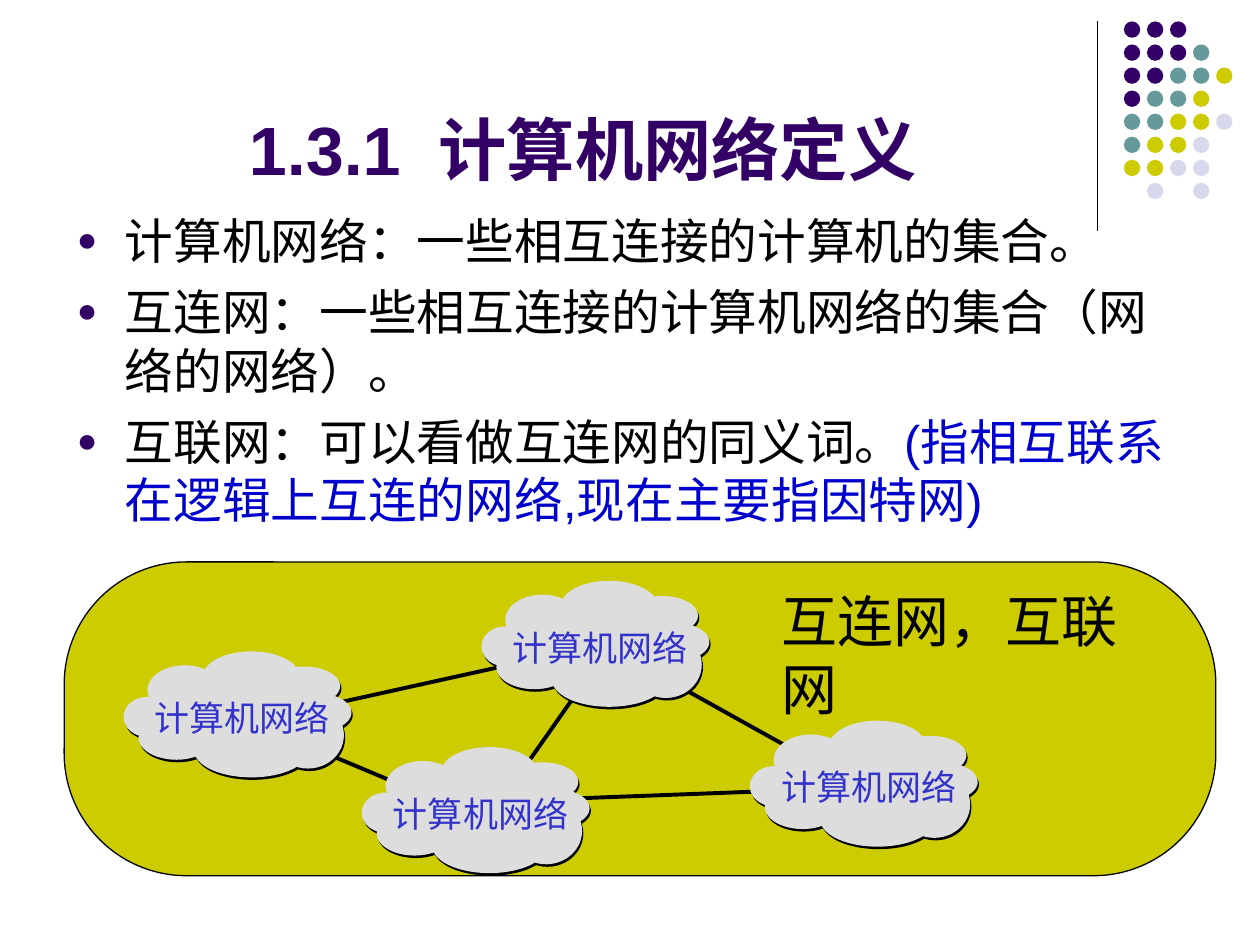
from lxml.etree import SubElement
from pptx import Presentation
from pptx.dml.color import RGBColor
from pptx.enum.shapes import MSO_CONNECTOR, MSO_SHAPE
from pptx.enum.text import MSO_ANCHOR, MSO_AUTO_SIZE, PP_ALIGN
from pptx.oxml.ns import qn
from pptx.util import Inches, Pt

COLORS = {
    "purple": "330066", "teal": "669999", "olive": "CCCC00", "lavender": "D8D8EC",
    "black": "000000", "blue": "0000CC", "cloud": "DDDDDD", "label": "3333CC",
}
TITLE = "1.3.1  计算机网络定义"
DEFINITIONS = [
    [("计算机网络：一些相互连接的计算机的集合。", "black")],
    [("互连网：一些相互连接的计算机网络的集合（网络的网络）。", "black")],
    [("互联网：可以看做互连网的同义词。", "black"),
     ("(指相互联系在逻辑上互连的网络,现在主要指因特网)", "blue")],
]
PANEL_LABEL = "互连网，互联网"
CLOUD_LABEL = "计算机网络"

# One letter per dot, a dot mark for an empty place
DOT_ROWS = ["PPP..", "PPPT.", "PPTTO", "PTTO.", "TTOOL", "TOOL.", "OOLL.", ".L.L."]
DOT_COLORS = {"P": "purple", "T": "teal", "O": "olive", "L": "lavender"}
DOT_LEFT, DOT_TOP, DOT_PITCH, DOT_SIZE = 8.92, 0.17, 0.183, 0.13

CLOUDS = [(0.98, 5.17), (2.87, 5.93), (3.82, 4.61), (5.95, 5.72)]
# Left, top, width and height of each puff, from the corner of its cloud
PUFFS = [
    (0.63, 0, 0.77, 0.4), (0.19, 0.11, 0.59, 0.4), (0, 0.36, 0.39, 0.32),
    (0.12, 0.51, 0.6, 0.35), (0.56, 0.57, 0.91, 0.43), (1.15, 0.12, 0.57, 0.31),
    (1.24, 0.33, 0.57, 0.31), (1.18, 0.4, 0.57, 0.53), (0.33, 0.24, 1.17, 0.53),
]
CLOUD_LAYERS = [("black", 0.01, 0.02), ("cloud", 0, 0)]
LINKS = [
    ((2.4, 5.64), (4.21, 5.24)), ((2.16, 5.8), (3.66, 6.43)),
    ((4.21, 6.35), (6.34, 6.27)), ((5.16, 5.32), (6.58, 6.11)),
    ((4.76, 5.24), (3.98, 6.35)),
]


def color(name):
    return RGBColor.from_string(COLORS[name])


def place(shape, left, top, width, height):
    box = {"left": left, "top": top, "width": width, "height": height}
    for name, value in box.items():
        setattr(shape, name, Inches(value))


def add_run(paragraph, text, size, font, color_name, bold=False):
    run = paragraph.add_run()
    run.text = text
    for name, value in {"size": Pt(size), "name": font, "bold": bold}.items():
        setattr(run.font, name, value)
    run.font.color.rgb = color(color_name)


def add_filled(shapes, kind, box, fill):
    shape = shapes.add_shape(kind, *map(Inches, box))
    shape.shadow.inherit = False
    shape.fill.solid()
    shape.fill.fore_color.rgb = color(fill)
    shape.line.fill.background()
    return shape


def add_line(shapes, start, end, width):
    line = shapes.add_connector(MSO_CONNECTOR.STRAIGHT, *map(Inches, start + end))
    line.line.color.rgb = color("black")
    line.line.width = Pt(width)
    SubElement(line._element.spPr, qn("a:effectLst"))


def add_label(shapes, box, text, size, color_name):
    label = shapes.add_textbox(*map(Inches, box))
    label.text_frame.word_wrap = False
    add_run(label.text_frame.paragraphs[0], text, size, "Times New Roman", color_name)


def add_bullet(paragraph):
    properties = paragraph._p.get_or_add_pPr()
    properties.set("marL", str(Inches(0.38)))
    properties.set("indent", str(-Inches(0.38)))
    bullet_color = SubElement(properties, qn("a:buClr"))
    SubElement(bullet_color, qn("a:srgbClr"), val=COLORS["purple"])
    SubElement(properties, qn("a:buSzPct"), val="70000")
    SubElement(properties, qn("a:buFont"), typeface="Arial")
    SubElement(properties, qn("a:buChar"), char="●")


def add_title(slide):
    title = slide.shapes.title
    place(title, 0.5, 0.13, 8.25, 1.42)
    frame = title.text_frame
    frame.auto_size = MSO_AUTO_SIZE.NONE
    frame.vertical_anchor = MSO_ANCHOR.BOTTOM
    frame.paragraphs[0].alignment = PP_ALIGN.CENTER
    add_run(frame.paragraphs[0], TITLE, 39, "Arial", "purple", bold=True)


def add_definitions(slide):
    body = slide.placeholders[1]
    place(body, 0.51, 1.62, 9, 2.76)
    frame = body.text_frame
    frame.auto_size = MSO_AUTO_SIZE.NONE
    for index, runs in enumerate(DEFINITIONS):
        paragraph = frame.add_paragraph() if index else frame.paragraphs[0]
        paragraph.space_before = Pt(7.5)
        add_bullet(paragraph)
        for text, color_name in runs:
            add_run(paragraph, text, 27.8, "Arial", color_name)


def add_dots(slide):
    add_line(slide.shapes, (8.71, 0.17), (8.71, 1.83), 0.75)
    dots = slide.shapes.add_group_shape().shapes
    for row, codes in enumerate(DOT_ROWS):
        for column, code in enumerate(codes):
            if code in DOT_COLORS:
                box = (DOT_LEFT + column * DOT_PITCH, DOT_TOP + row * DOT_PITCH,
                       DOT_SIZE, DOT_SIZE)
                add_filled(dots, MSO_SHAPE.OVAL, box, DOT_COLORS[code])


def add_cloud(slide, left, top):
    cloud = slide.shapes.add_group_shape().shapes
    for fill, shift_x, shift_y in CLOUD_LAYERS:
        for x, y, width, height in PUFFS:
            box = (left + x + shift_x, top + y + shift_y, width, height)
            add_filled(cloud, MSO_SHAPE.OVAL, box, fill)
    add_label(cloud, (left + 0.15, top + 0.31, 1.59, 0.44), CLOUD_LABEL, 20, "label")


def add_network(slide):
    panel = add_filled(slide.shapes, MSO_SHAPE.ROUNDED_RECTANGLE,
                       (0.51, 4.46, 9.14, 2.49), "olive")
    panel.adjustments[0] = 0.39
    panel.line.color.rgb = color("black")
    panel.line.width = Pt(0.75)
    for start, end in LINKS:
        add_line(slide.shapes, start, end, 2.25)
    for left, top in CLOUDS:
        add_cloud(slide, left, top)
    add_label(slide.shapes, (6.1, 4.61, 3.31, 0.64), PANEL_LABEL, 32, "black")


def main():
    presentation = Presentation()
    presentation.slide_width, presentation.slide_height = Inches(10), Inches(7.5)
    slide = presentation.slides.add_slide(presentation.slide_layouts[1])
    add_title(slide)
    add_definitions(slide)
    add_dots(slide)
    add_network(slide)
    presentation.save("out.pptx")


if __name__ == "__main__":
    main()
